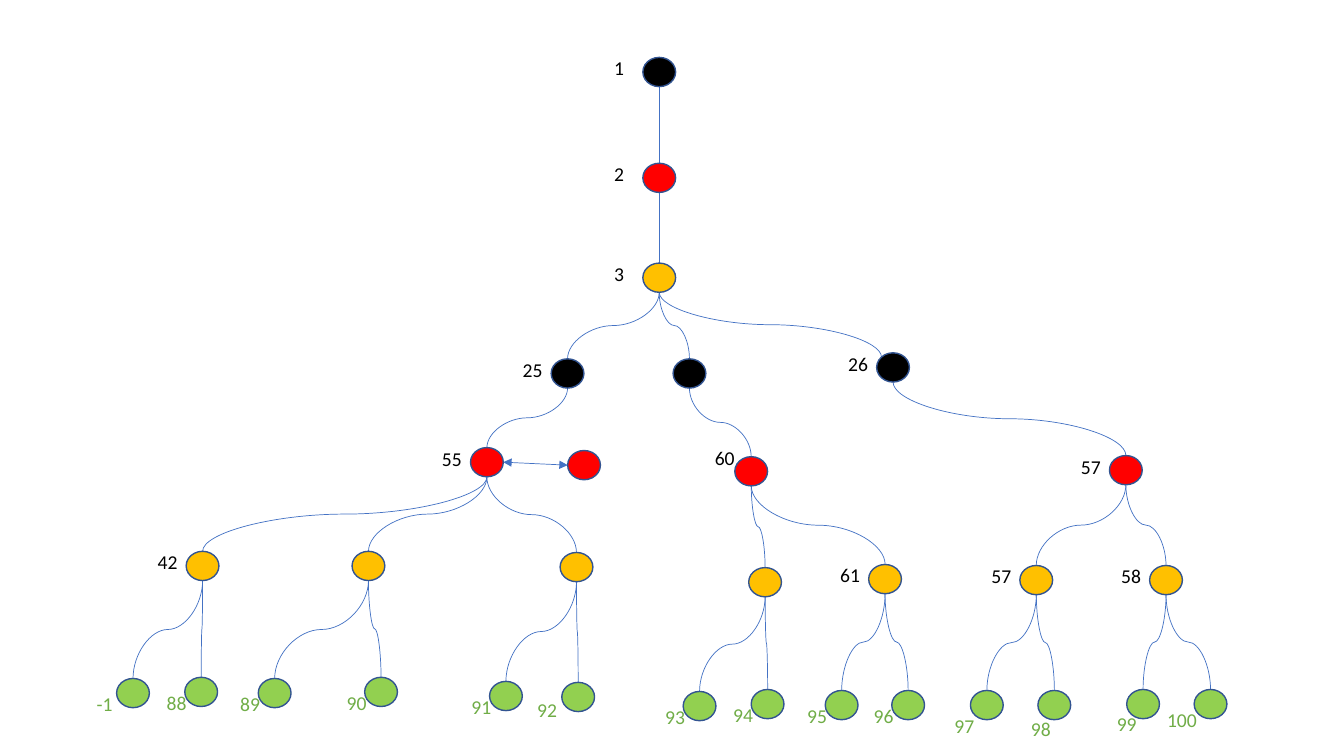
"""Build a slide with a layered tree of numbered, coloured nodes."""
from lxml import etree
from pptx import Presentation
from pptx.dml.color import RGBColor
from pptx.enum.shapes import MSO_CONNECTOR, MSO_SHAPE
from pptx.enum.text import MSO_AUTO_SIZE
from pptx.oxml.ns import qn
from pptx.util import Pt

CURVE, LINE = MSO_CONNECTOR.CURVE, MSO_CONNECTOR.STRAIGHT
OVAL = MSO_SHAPE.OVAL
FIT = MSO_AUTO_SIZE.SHAPE_TO_FIT_TEXT

THEME = {
    "black": "000000", "red": "FF0000", "gold": "FFC000", "leaf": "92D050",
    "rim": "325491", "edge": "4472C4", "text": "000000", "tip": "70AD47",
    "font": "Calibri", "size": 14, "thick": 1, "thin": 0.5,
}

# key, parent, kind, label, centre x, top
NODES = [
    ("one", None, "black", "1", 470.9, 41),
    ("two", "one", "red", "2", 470.9, 116.6),
    ("three", "two", "gold", "3", 470.9, 187.9),
    ("left", "three", "black", "25", 405.4, 256.3),
    ("mid", "three", "black", "", 492.5, 256.3),
    ("right", "three", "black", "26", 637.9, 252),
    ("red left", "left", "red", "55", 347.8, 319.7),
    ("peer", None, "red", "", 417.2, 321.8),
    ("red mid", "mid", "red", "60", 536.6, 326.2),
    ("red right", "right", "red", "57", 804.2, 325.4),
    ("gold 1", "red left", "gold", "42", 144.7, 393.8),
    ("gold 2", "red left", "gold", "", 263.2, 393.8),
    ("gold 3", "red left", "gold", "", 411.8, 394.6),
    ("gold 4", "red mid", "gold", "", 546.5, 405.4),
    ("gold 5", "red mid", "gold", "61", 632.2, 403.2),
    ("gold 6", "red right", "gold", "57", 740.2, 403.9),
    ("gold 7", "red right", "gold", "58", 832.9, 403.9),
    ("-1", "gold 1", "leaf", "-1", 95, 484.6),
    ("88", "gold 1", "leaf", "88", 143.7, 483.8),
    ("89", "gold 2", "leaf", "89", 196.2, 484.6),
    ("90", "gold 2", "leaf", "90", 272.2, 483.8),
    ("91", "gold 3", "leaf", "91", 361.4, 486.7),
    ("92", "gold 3", "leaf", "92", 413, 487.4),
    ("93", "gold 4", "leaf", "93", 499.7, 493.9),
    ("94", "gold 4", "leaf", "94", 548.3, 492.5),
    ("95", "gold 5", "leaf", "95", 601.2, 493.2),
    ("96", "gold 5", "leaf", "96", 648.7, 493.2),
    ("97", "gold 6", "leaf", "97", 704.9, 493.2),
    ("98", "gold 6", "leaf", "98", 753.1, 493.2),
    ("99", "gold 7", "leaf", "99", 816.5, 492.5),
    ("100", "gold 7", "leaf", "100", 864.7, 492.5),
]
PEERS = ("red left", "peer")
SKEW = {"right": (-8.3, 3.1)}
SHIFT = {
    "red mid": (-33.1, -11.5), "-1": (-33, 6.4), "92": (-36.4, 7.9),
    "97": (-30.2, 13), "98": (-23.8, 15.1), "99": (-25.9, 12.2),
    "100": (-38.2, 9.4),
}
WIDE, HIGH = 23.4, 20.9
SPOTS = {key: (x, top) for key, _, _, _, x, top in NODES}


def color(name):
    return RGBColor.from_string(THEME[name])


def join(slide, kind, *ends):
    link = slide.shapes.add_connector(kind, *map(Pt, ends))
    link.line.color.rgb = color("edge")
    link.line.width = Pt(THEME["thin"])
    etree.SubElement(link.element.spPr, qn("a:effectLst"))
    return link


def branch(slide, key, parent):
    x1, y1 = SPOTS[parent]
    x2, y2 = SPOTS[key]
    dx, dy = SKEW.get(key, (0, 0))
    y1, x2, y2 = y1 + HIGH, x2 + dx, y2 + dy
    long, span = y2 - y1, abs(x2 - x1)
    near, far = (x1 + x2 - long) / 2, (x1 + x2 + long) / 2
    top = (y1 + y2 - span) / 2
    back = x2 < x1
    start, end = (near, far) if back else (far, near)
    link = join(slide, CURVE, start, top, end, top + span)
    link.element.spPr.xfrm.set("rot", "5400000" if back else "16200000")


def pair(slide, first, last):
    (x1, y1), (x2, y2) = SPOTS[first], SPOTS[last]
    link = join(slide, LINE, x1 + WIDE / 2, y1 + HIGH / 2,
                x2 - WIDE / 2, y2 + HIGH / 2)
    line = link.element.spPr.find(qn("a:ln"))
    for end in ("a:headEnd", "a:tailEnd"):
        etree.SubElement(line, qn(end)).set("type", "triangle")


def dot(slide, kind, x, top):
    oval = slide.shapes.add_shape(
        OVAL, Pt(x - WIDE / 2), Pt(top), Pt(WIDE), Pt(HIGH))
    oval.shadow.inherit = False
    oval.fill.solid()
    oval.fill.fore_color.rgb = color(kind)
    oval.line.color.rgb = color("rim")
    oval.line.width = Pt(THEME["thick"])


def tag(slide, key, kind, label, x, top):
    leaf = kind == "leaf"
    dx, dy = SHIFT.get(key, (-31.7, 6.4) if leaf else (-39.2, -4.3))
    box = slide.shapes.add_textbox(
        Pt(x + dx), Pt(top + dy), Pt(14.4 + 7.1 * len(label)), Pt(24.2))
    frame = box.text_frame
    frame.word_wrap = False
    frame.auto_size = FIT
    frame.text = label
    font = frame.paragraphs[0].runs[0].font
    font.name = THEME["font"]
    font.size = Pt(THEME["size"])
    font.color.rgb = color("tip" if leaf else "text")


def main():
    deck = Presentation()
    deck.slide_width, deck.slide_height = Pt(960), Pt(540)
    slide = deck.slides.add_slide(deck.slide_layouts[6])
    for key, parent, *_ in NODES:
        if parent:
            branch(slide, key, parent)
    pair(slide, *PEERS)
    for key, _, kind, label, x, top in NODES:
        dot(slide, kind, x, top)
        if label:
            tag(slide, key, kind, label, x, top)
    deck.save("out.pptx")


if __name__ == "__main__":
    main()
